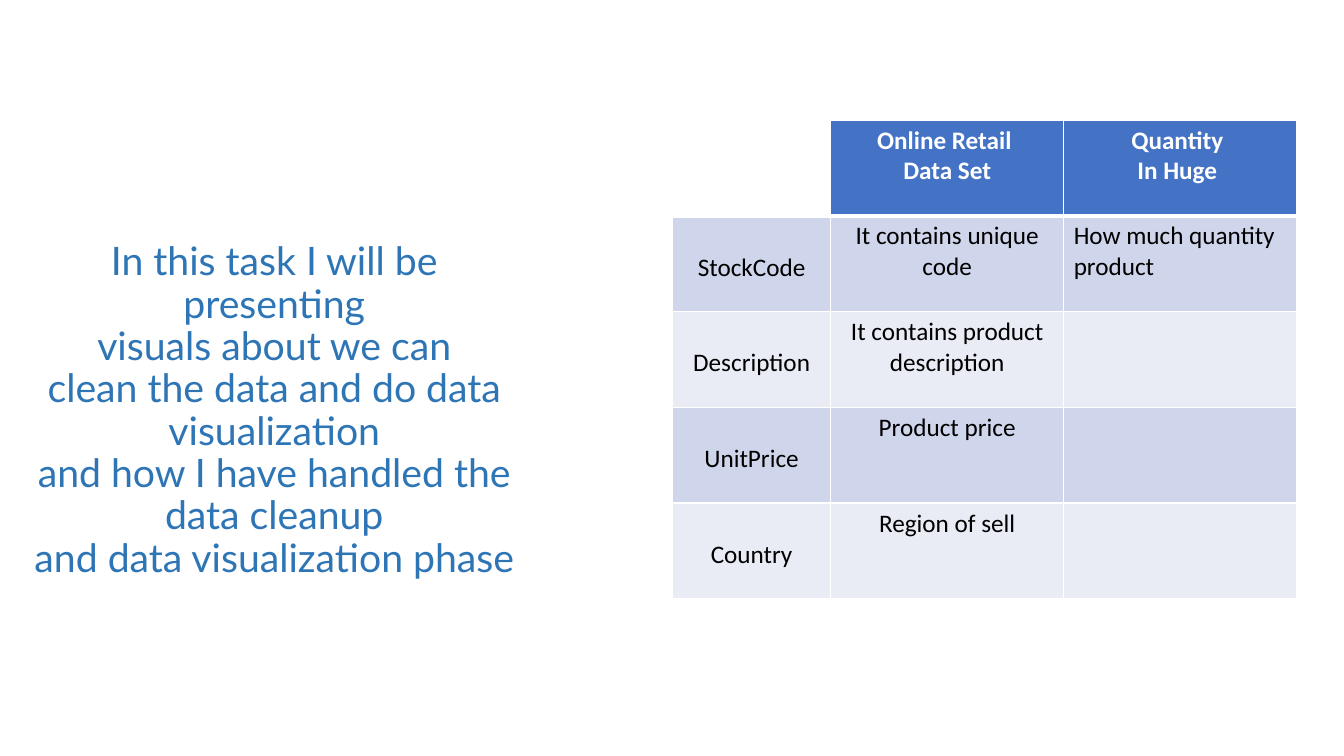
"""Build the data cleanup slide: an introduction beside a table of fields."""
from lxml import etree
from pptx import Presentation
from pptx.dml.color import RGBColor
from pptx.enum.text import MSO_ANCHOR, PP_ALIGN
from pptx.oxml.ns import qn
from pptx.util import Inches, Pt

CENTER = PP_ALIGN.CENTER
LEFT = PP_ALIGN.LEFT
MIDDLE = MSO_ANCHOR.MIDDLE
WHITE, BLACK = "FFFFFF", "000000"
TITLE_BLUE, HEADER_BLUE = "2E75B6", "4472C4"
BANDS = ["CFD5EA", "E9EBF5"]

INTRODUCTION = [
    "In this task I will be",
    "presenting",
    "visuals about we can",
    "clean the data and do data",
    "visualization",
    "and how I have handled the",
    "data cleanup",
    "and data visualization phase",
]
ROWS = [
    ["", "Online Retail \nData Set", "Quantity \nIn Huge "],
    ["StockCode", "It contains unique code", "How much quantity product"],
    ["Description", "It contains product description", ""],
    ["UnitPrice", "Product price", ""],
    ["Country", "Region of sell", ""],
]
COLUMN_WIDTHS = [1.57, 2.31, 2.31]
ROW_HEIGHT = 0.95


def add_run(paragraph, text, font_name, size, color, bold=False):
    run = paragraph.add_run()
    run.text = text
    run.font.name = font_name
    run.font.size = Pt(size)
    run.font.bold = bold
    run.font.color.rgb = RGBColor.from_string(color)


def set_borders(cell, widths, color):
    properties = cell._tc.get_or_add_tcPr()
    for position, (side, width) in enumerate(widths.items()):
        line = etree.Element(qn(f"a:ln{side}"), w=str(Pt(width)))
        fill = etree.SubElement(line, qn("a:solidFill"))
        etree.SubElement(fill, qn("a:srgbClr"), val=color)
        properties.insert(position, line)


presentation = Presentation()
presentation.slide_width = Inches(13.33)
presentation.slide_height = Inches(7.5)
slide = presentation.slides.add_slide(presentation.slide_layouts[6])

introduction = slide.shapes.add_textbox(
    Inches(-3.03), Inches(2.23), Inches(11.5), Inches(3.7))
frame = introduction.text_frame
frame.word_wrap = True
frame.vertical_anchor = MIDDLE
paragraph = frame.paragraphs[0]
paragraph.alignment = CENTER
paragraph.line_spacing = 0.9
for index, text in enumerate(INTRODUCTION):
    if index:
        paragraph.add_line_break()
    add_run(paragraph, text, "Lato", 28, TITLE_BLUE)

table = slide.shapes.add_table(
    len(ROWS), len(COLUMN_WIDTHS), Inches(6.67), Inches(1.19),
    Inches(sum(COLUMN_WIDTHS)), Inches(ROW_HEIGHT * len(ROWS))).table
for column, width in zip(table.columns, COLUMN_WIDTHS):
    column.width = Inches(width)

for row_index, texts in enumerate(ROWS):
    table.rows[row_index].height = Inches(ROW_HEIGHT)
    is_header = row_index == 0
    for column_index, text in enumerate(texts):
        cell = table.cell(row_index, column_index)
        is_label = column_index == 0
        if is_header:
            fill_color = WHITE if is_label else HEADER_BLUE
        else:
            fill_color = BANDS[(row_index - 1) % 2]
        cell.fill.solid()
        cell.fill.fore_color.rgb = RGBColor.from_string(fill_color)
        set_borders(cell, {"L": 1, "R": 1, "T": 3 if row_index == 1 else 1,
                           "B": 3 if is_header else 1}, WHITE)
        if is_label:
            cell.margin_top = Inches(0.36)
        if not text:
            continue
        for line_index, line_text in enumerate(text.split("\n")):
            cell_frame = cell.text_frame
            paragraph = cell_frame.add_paragraph() if line_index else cell_frame.paragraphs[0]
            paragraph.alignment = CENTER if is_header or column_index < 2 else LEFT
            add_run(paragraph, line_text, "Calibri", 18,
                    WHITE if is_header else BLACK, is_header)

presentation.save("out.pptx")
